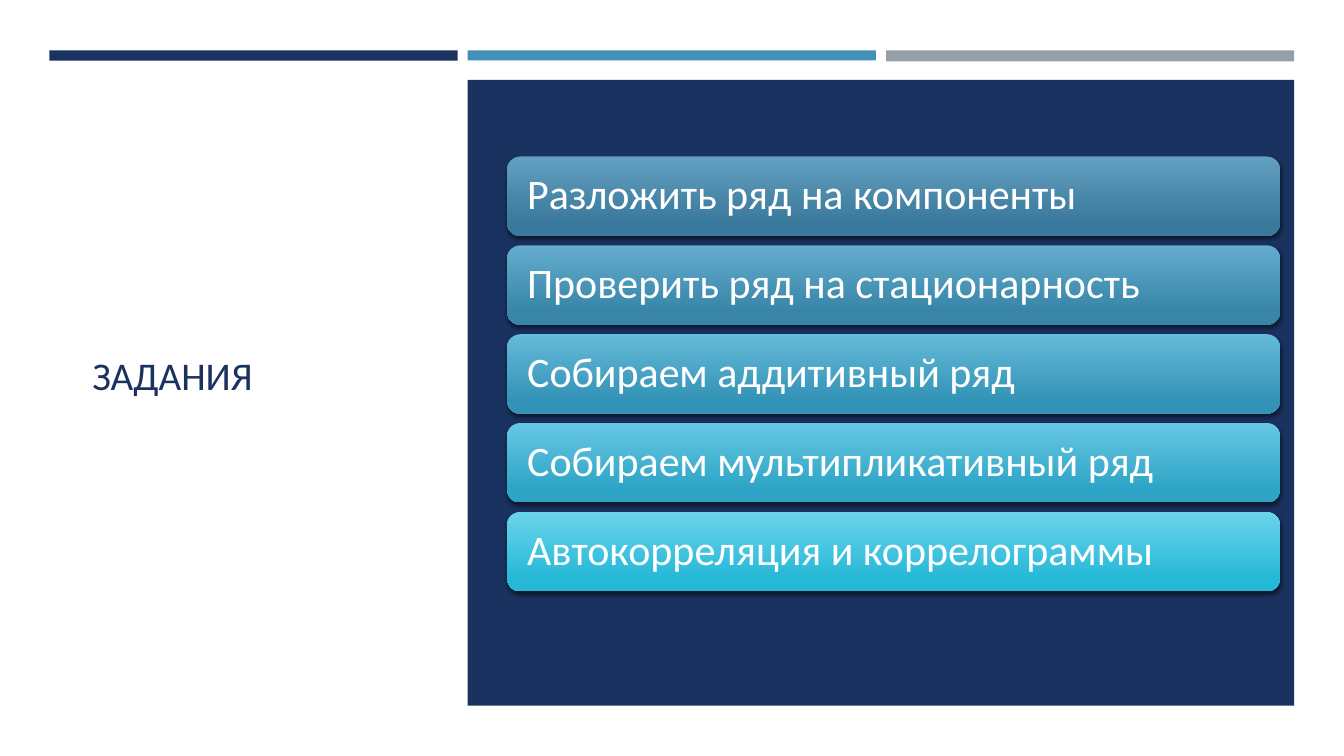
from pptx import Presentation
from pptx.dml.color import RGBColor
from pptx.enum.shapes import MSO_SHAPE
from pptx.enum.text import MSO_ANCHOR, PP_ALIGN
from pptx.oxml import parse_xml
from pptx.oxml.ns import nsdecls, qn
from pptx.util import Pt

RECTANGLE = MSO_SHAPE.RECTANGLE
ROUNDED = MSO_SHAPE.ROUNDED_RECTANGLE
MIDDLE = MSO_ANCHOR.MIDDLE
LEFT = PP_ALIGN.LEFT

WHITE = RGBColor(0xFF, 0xFF, 0xFF)
NAVY = RGBColor(0x1A, 0x32, 0x60)
BLUE = RGBColor(0x45, 0x90, 0xB8)
GRAY = RGBColor(0x96, 0x9F, 0xA7)

BAR_LEFT, BAR_TOP, BAR_WIDTH, BAR_STEP = 35.3, 36, 291.6, 298.8
BARS = [(NAVY, 7.4), (BLUE, 7.2), (GRAY, 7.8)]

CARD_LEFT, CARD_TOP, CARD_WIDTH, CARD_HEIGHT, CARD_STEP = 362.2, 111.8, 552.2, 56.8, 63.45
TASKS = [
    ("Разложить ряд на компоненты", RGBColor(0x63, 0x9F, 0xC1), RGBColor(0x3A, 0x79, 0x9B)),
    ("Проверить ряд на стационарность", RGBColor(0x63, 0xAC, 0xCE), RGBColor(0x38, 0x85, 0xA7)),
    ("Собираем аддитивный ряд", RGBColor(0x65, 0xB9, 0xD9), RGBColor(0x33, 0x93, 0xB6)),
    ("Собираем мультипликативный ряд", RGBColor(0x67, 0xC7, 0xE3), RGBColor(0x2D, 0xA4, 0xC6)),
    ("Автокорреляция и коррелограммы", RGBColor(0x6B, 0xD4, 0xEC), RGBColor(0x26, 0xB8, 0xD7)),
]


def write_text(shape, text, size, color, inset, line_spacing=1.0, font="Calibri"):
    """Write one left-aligned, vertically centred paragraph into a shape."""
    frame = shape.text_frame
    frame.word_wrap = True
    frame.vertical_anchor = MIDDLE
    frame.margin_left = frame.margin_right = Pt(inset)
    frame.margin_top = frame.margin_bottom = Pt(3.6)
    paragraph = frame.paragraphs[0]
    paragraph.alignment = LEFT
    paragraph.line_spacing = line_spacing
    run = paragraph.add_run()
    run.text = text
    run.font.name = font
    run.font.size = Pt(size)
    run.font.color.rgb = color


class SlideBuilder:
    """Hold the current slide and draw its kinds of element."""

    def __init__(self, slide):
        """Keep the slide and paint its background white."""
        self.slide = slide
        slide.background.fill.solid()
        slide.background.fill.fore_color.rgb = WHITE

    def shape(self, kind, left, top, width, height):
        """Add a preset shape without line or shadow."""
        shape = self.slide.shapes.add_shape(kind, Pt(left), Pt(top), Pt(width), Pt(height))
        shape.shadow.inherit = False
        shape.line.fill.background()
        return shape

    def block(self, left, top, width, height, color):
        """Add a plain coloured rectangle."""
        shape = self.shape(RECTANGLE, left, top, width, height)
        shape.fill.solid()
        shape.fill.fore_color.rgb = color

    def title(self, text, left, top, width, height):
        """Add the slide title."""
        box = self.slide.shapes.add_textbox(Pt(left), Pt(top), Pt(width), Pt(height))
        write_text(box, text, size=28, color=NAVY, inset=7.2)

    def card(self, text, top, light, dark):
        """Add a task card with a vertical gradient and a soft shadow."""
        shape = self.shape(ROUNDED, CARD_LEFT, top, CARD_WIDTH, CARD_HEIGHT)
        shape.fill.gradient()
        shape.fill.gradient_angle = 270
        stops = shape.fill.gradient_stops
        for stop, position, color in zip(stops, (0, 0.84), (light, dark)):
            stop.position = position
            stop.color.rgb = color
        effects = shape.element.spPr.find(qn("a:effectLst"))
        effects.append(parse_xml(
            f'<a:outerShdw {nsdecls("a")} blurRad="{Pt(3)}" dist="{Pt(2)}" dir="5400000" '
            'rotWithShape="0"><a:srgbClr val="000000"><a:alpha val="55000"/></a:srgbClr>'
            '</a:outerShdw>'))
        write_text(shape, text, size=30, color=WHITE, inset=11.6, line_spacing=0.9)


def main():
    """Build the tasks slide and save it."""
    presentation = Presentation()
    presentation.slide_width, presentation.slide_height = Pt(960), Pt(540)
    builder = SlideBuilder(presentation.slides.add_slide(presentation.slide_layouts[6]))
    builder.title("ЗАДАНИЯ", 59, 82, 240.5, 371)
    for index, (color, height) in enumerate(BARS):
        builder.block(BAR_LEFT + index * BAR_STEP, BAR_TOP, BAR_WIDTH, height, color)
    builder.block(BAR_LEFT + BAR_STEP, 57, BAR_STEP + BAR_WIDTH, 447, NAVY)
    for index, (text, light, dark) in enumerate(TASKS):
        builder.card(text, CARD_TOP + index * CARD_STEP, light, dark)
    presentation.save("out.pptx")


if __name__ == "__main__":
    main()
